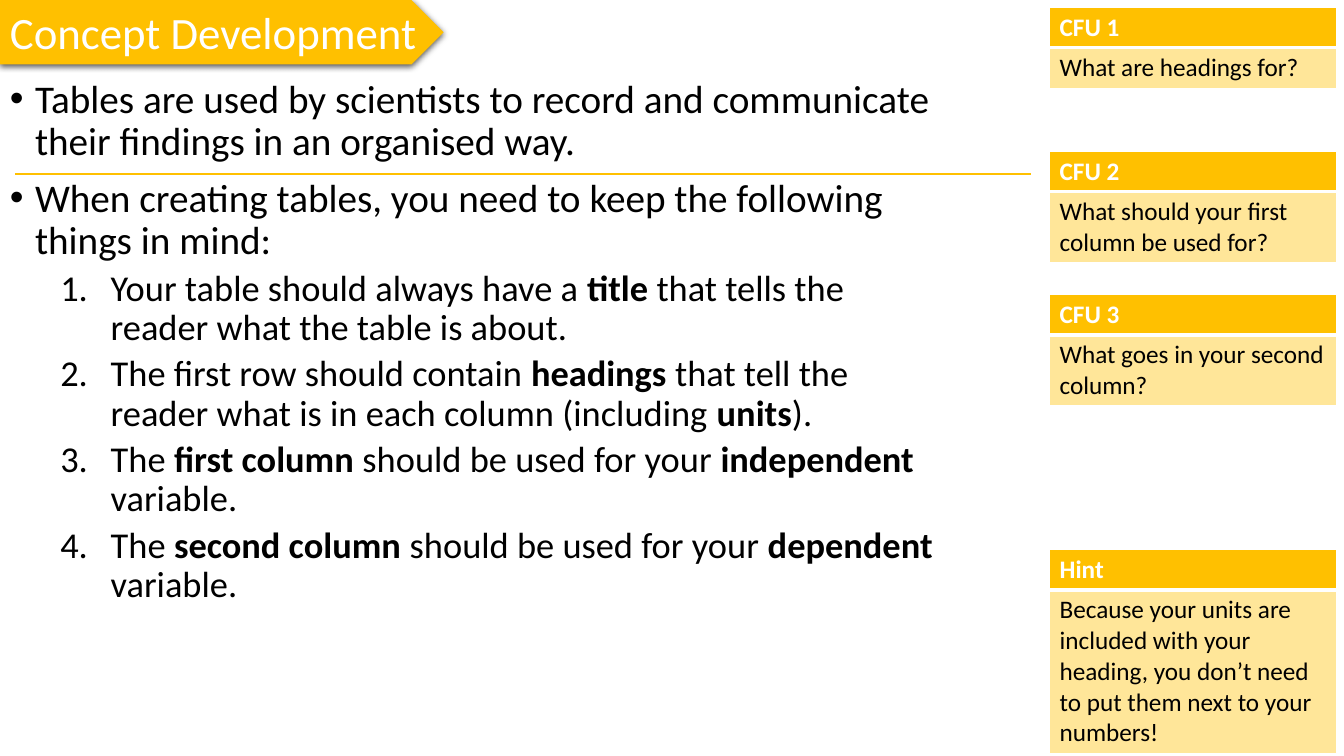
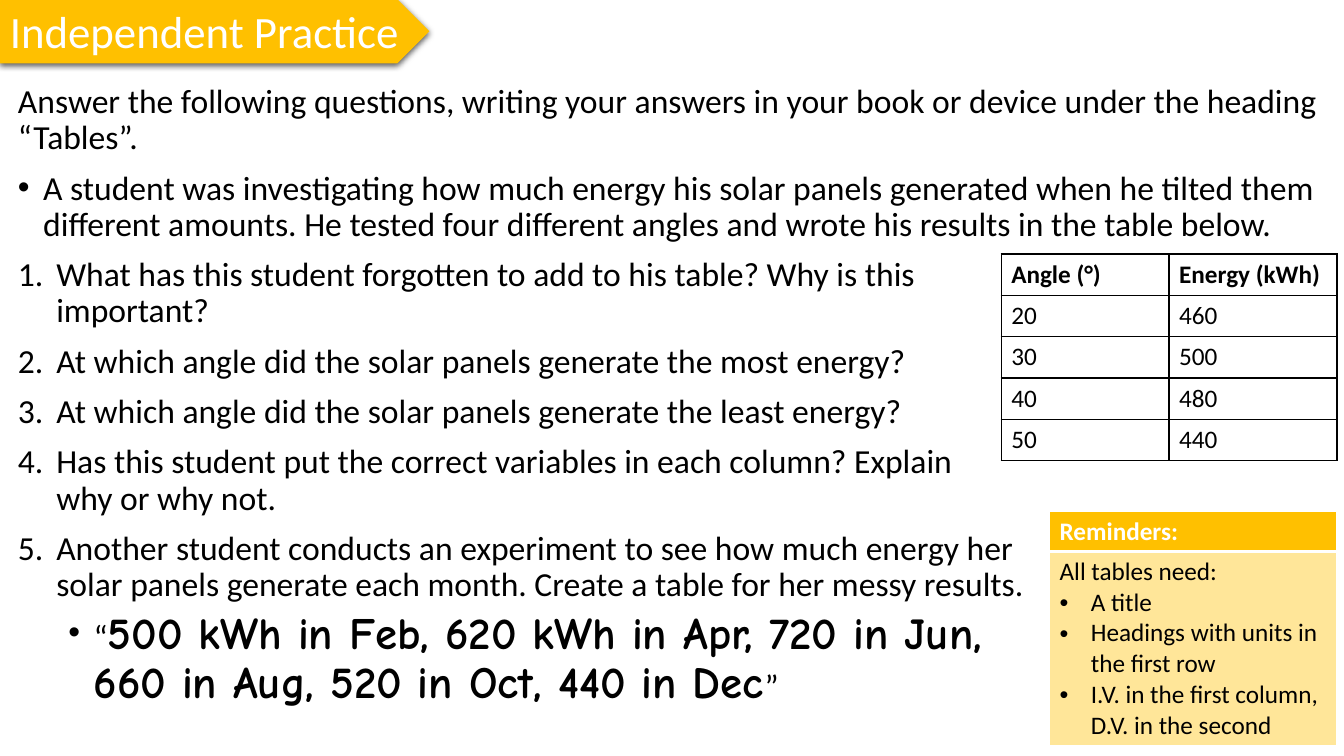
from lxml.etree import SubElement
from pptx import Presentation
from pptx.dml.color import RGBColor
from pptx.enum.shapes import MSO_CONNECTOR as Connector, MSO_SHAPE as Preset
from pptx.enum.text import MSO_ANCHOR as Anchor, MSO_AUTO_SIZE as AutoSize, PP_ALIGN as Align
from pptx.oxml import parse_xml
from pptx.oxml.ns import nsdecls, qn
from pptx.util import Inches, Pt

COLOURS = {"gold": "FFC000", "cream": "FFE699", "white": "FFFFFF", "black": "000000"}
RGB = {name: RGBColor.from_string(value) for name, value in COLOURS.items()}

KINDS = {
    "plain": {},
    "lead": {"before": 10, "spacing": 0.9},
    "point": {"before": 10, "spacing": 0.9, "margin": 0.25, "hang": 0.25, "bullet": "•"},
    "rule": {"before": 5, "spacing": 0.9, "margin": 1, "hang": 0.5, "bullet": "1.", "level": 1},
    "question": {"before": 10, "spacing": 0.9, "margin": 0.38, "hang": 0.38, "bullet": "1."},
    "quote": {"before": 5, "spacing": 0.9, "margin": 0.75, "hang": 0.25, "bullet": "•", "level": 1},
    "reminder": {"margin": 0.31, "hang": 0.31, "bullet": "•"},
}

BASE = {"name": "Calibri", "bold": False}
CARD_HEAD = {"look": {"size": Pt(18), "bold": True}, "colour": "white", "fill": "gold",
             "edges": {"L": 1, "R": 1, "T": 1, "B": 3}, "edge": "white"}
CARD_BODY = {"look": {"size": Pt(18)}, "colour": "black", "fill": "cream",
             "edges": {"L": 1, "R": 1, "T": 3, "B": 1}, "edge": "white"}
DATA_HEAD = {"look": {"size": Pt(18), "bold": True}, "colour": "black", "fill": None,
             "edges": dict.fromkeys("LRTB", 1), "edge": "black"}
DATA_BODY = {**DATA_HEAD, "look": {"size": Pt(18)}}


def write(frame, paragraphs, look, colour, accent=None):
    for index, (text, kind) in enumerate(paragraphs):
        style = KINDS[kind]
        paragraph = frame.add_paragraph() if index else frame.paragraphs[0]
        paragraph.alignment = Align.LEFT
        paragraph.level = style.get("level", 0)
        if "bullet" in style:
            properties = paragraph._p.get_or_add_pPr()
            properties.set("marL", str(Inches(style["margin"])))
            properties.set("indent", str(-Inches(style["hang"])))
            if style["bullet"] == "1.":
                SubElement(properties, qn("a:buAutoNum"), type="arabicPeriod")
            else:
                SubElement(properties, qn("a:buFont"), typeface="Arial")
                SubElement(properties, qn("a:buChar"), char=style["bullet"])
        paragraph.space_before = Pt(style.get("before", 0) if index else 0)
        paragraph.line_spacing = style.get("spacing", 1.0)
        for part, segment in enumerate(text.split("**")):
            values = {**BASE, **look, **(accent if part % 2 else {})}
            for number, line in enumerate(segment.split("\n")):
                if number:
                    paragraph.add_line_break()
                run = paragraph.add_run()
                run.text = line
                run.font.color.rgb = RGB[colour]
                for name, value in values.items():
                    setattr(run.font, name, value)


def add_grid(slide, left, top, width, heights, rows, head, body):
    table = slide.shapes.add_table(len(rows), len(rows[0]), Inches(left), Inches(top),
                                   Inches(width), Inches(sum(heights))).table
    table.first_row = table.horz_banding = False
    for index, cells in enumerate(rows):
        table.rows[index].height = Inches(heights[index])
        style = body if index else head
        for column, paragraphs in enumerate(cells):
            cell = table.cell(index, column)
            write(cell.text_frame, paragraphs, style["look"], style["colour"])
            properties = cell._tc.get_or_add_tcPr()
            for side, points in style["edges"].items():
                line = SubElement(properties, qn(f"a:ln{side}"), w=str(Pt(points)))
                fill = SubElement(line, qn("a:solidFill"))
                SubElement(fill, qn("a:srgbClr"), val=COLOURS[style["edge"]])
            if style["fill"]:
                cell.fill.solid()
                cell.fill.fore_color.rgb = RGB[style["fill"]]
            else:
                cell.fill.background()


concept_text = [
    ("Tables are used by scientists to record and communicate their findings in an organised way.", "point"),
    ("When creating tables, you need to keep the following things in mind:", "point"),
    ("Your table should always have a **title** that tells the reader what the table is about.", "rule"),
    ("The first row should contain **headings** that tell the reader what is in each column "
     "(including **units**).", "rule"),
    ("The **first column** should be used for your **independent** variable.", "rule"),
    ("The **second column** should be used for your **dependent** variable.", "rule"),
]
practice_text = [
    ("Answer the following questions, writing your answers in your book or device under the "
     "heading “Tables”.", "lead"),
    ("A student was investigating how much energy his solar panels generated when he tilted them "
     "different amounts. He tested four different angles and wrote his results in the table below.", "point"),
    ("What has this student forgotten to add to his table? Why is this\nimportant?", "question"),
    ("At which angle did the solar panels generate the most energy?", "question"),
    ("At which angle did the solar panels generate the least energy?", "question"),
    ("Has this student put the correct variables in each column? Explain\nwhy or why not.", "question"),
    ("Another student conducts an experiment to see how much energy her\n"
     "solar panels generate each month. Create a table for her messy results.", "question"),
    ("“**500 kWh in Feb, 620 kWh in Apr, 720 in Jun,\n660 in Aug, 520 in Oct, 440 in Dec**”", "quote"),
]
pages = [
    {
        "title": "Concept Development", "banner": (0, 0, 4.4, 0.64),
        "body": (0, 0.74, 9.36, 5.79), "text": concept_text, "sizes": {"point": 28, "rule": 26},
        "accent": {"bold": True},
        "cards": [
            (0.07, 0.81, "CFU 1", [("What are headings for?", "plain")]),
            (1.5, 1.1, "CFU 2", [("What should your first column be used for?", "plain")]),
            (2.92, 1.1, "CFU 3", [("What goes in your second column?", "plain")]),
            (5.45, 2.03, "Hint", [("Because your units are included with your heading, you don’t "
                                   "need to put them next to your numbers!", "plain")]),
        ],
    },
    {
        "title": "Independent Practice", "banner": (0, -0.01, 4.26, 0.64),
        "body": (0.08, 0.79, 13.18, 6.53), "text": practice_text, "sizes": {},
        "accent": {"name": "Comic Neue", "size": Pt(32), "bold": True},
        "cards": [
            (5.07, 2.33, "Reminders:", [
                ("All tables need:", "plain"),
                ("A title", "reminder"),
                ("Headings with units in the first row", "reminder"),
                ("I.V. in the first column, D.V. in the second", "reminder"),
            ]),
        ],
    },
]
results = [("Angle (°)", "Energy (kWh)"), ("20", "460"), ("30", "500"), ("40", "480"), ("50", "440")]

presentation = Presentation()
presentation.slide_width = Inches(13.33)
presentation.slide_height = Inches(7.5)

for page in pages:
    slide = presentation.slides.add_slide(presentation.slide_layouts[6])

    body = slide.shapes.add_textbox(*map(Inches, page["body"]))
    body.text_frame.word_wrap = True
    write(body.text_frame, page["text"], {"size": Pt(24)}, "black", page["accent"])
    for paragraph, (text, kind) in zip(body.text_frame.paragraphs, page["text"]):
        if kind in page["sizes"]:
            for run in paragraph.runs:
                run.font.size = Pt(page["sizes"][kind])

    banner = slide.shapes.add_shape(Preset.PENTAGON, *map(Inches, page["banner"]))
    banner.fill.solid()
    banner.fill.fore_color.rgb = RGB["gold"]
    banner.line.fill.background()
    banner._element.spPr.append(parse_xml(
        f'<a:effectLst {nsdecls("a")}><a:outerShdw blurRad="{Pt(4.5)}" dist="{Pt(1.5)}" '
        f'dir="5400000" algn="ctr" rotWithShape="0"><a:srgbClr val="{COLOURS["black"]}">'
        '<a:alpha val="63000"/></a:srgbClr></a:outerShdw></a:effectLst>'))
    frame = banner.text_frame
    frame.word_wrap = False
    frame.auto_size = AutoSize.SHAPE_TO_FIT_TEXT
    frame.vertical_anchor = Anchor.TOP
    write(frame, [(page["title"], "plain")], {"size": Pt(32)}, "white")

    for top, height, heading, paragraphs in page["cards"]:
        add_grid(slide, 10.41, top, 2.85, [0.4, height - 0.4],
                 [[[(heading, "plain")]], [paragraphs]], CARD_HEAD, CARD_BODY)

concept, practice = presentation.slides
divider = concept.shapes.add_connector(Connector.STRAIGHT, Inches(0.15), Inches(1.73),
                                       Inches(10.23), Inches(1.73))
divider.line.color.rgb = RGB["gold"]
divider.line.width = Pt(1.5)
SubElement(divider._element.spPr, qn("a:effectLst"))

add_grid(practice, 9.93, 2.52, 3.33, [0.41] * len(results),
         [[[(value, "plain")] for value in row] for row in results], DATA_HEAD, DATA_BODY)

presentation.save("out.pptx")
